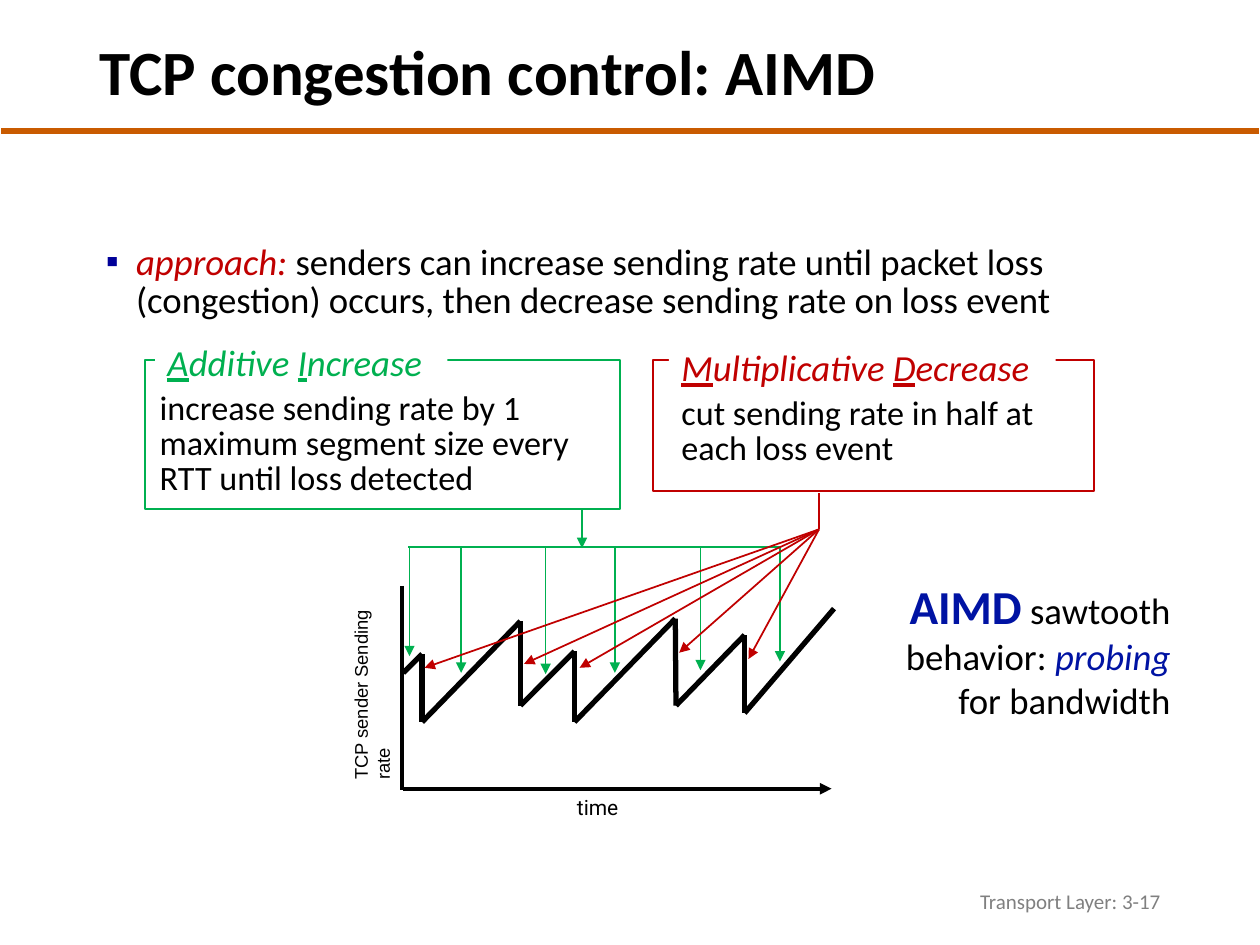
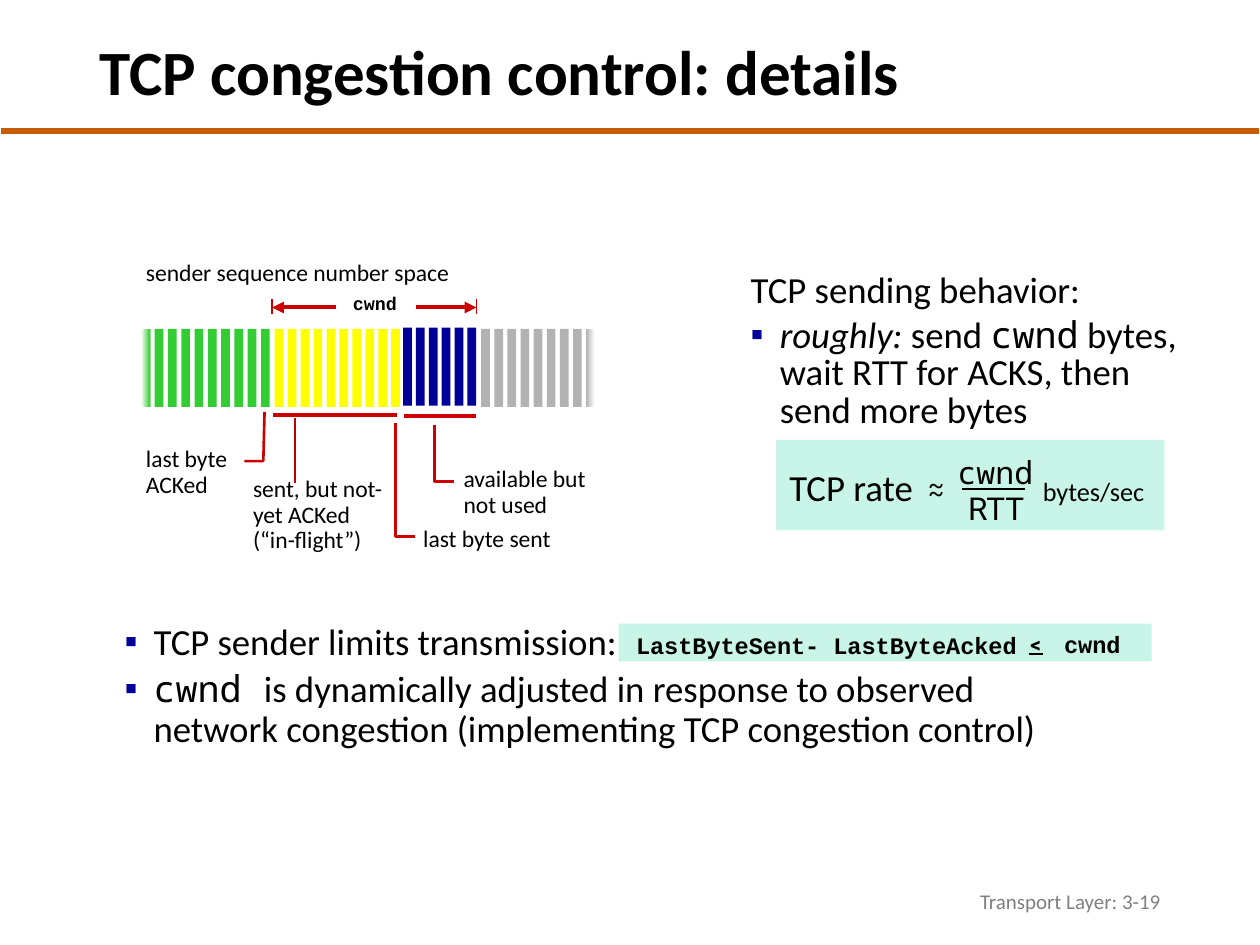
"""Build two lecture slides on TCP congestion control."""
from dataclasses import dataclass, field
from itertools import pairwise
from typing import Any, NamedTuple

from lxml import etree
from pptx import Presentation
from pptx.dml.color import RGBColor
from pptx.enum.shapes import MSO_CONNECTOR, MSO_SHAPE
from pptx.enum.text import MSO_ANCHOR, MSO_AUTO_SIZE, PP_ALIGN
from pptx.oxml.ns import qn
from pptx.util import Pt

STRAIGHT = MSO_CONNECTOR.STRAIGHT
RECTANGLE = MSO_SHAPE.RECTANGLE
TOP, MIDDLE = MSO_ANCHOR.TOP, MSO_ANCHOR.MIDDLE
LEFT, CENTER, RIGHT = PP_ALIGN.LEFT, PP_ALIGN.CENTER, PP_ALIGN.RIGHT
NO_FIT = MSO_AUTO_SIZE.NONE

COLORS = {
    "black": "000000", "white": "FFFFFF", "footer": "808080", "rule": "C95B00",
    "bullet": "000099", "increase": "00B050", "decrease": "C00000",
    "accent": "0013A3", "panel": "C8F5E8", "marker": "CC0000",
    "acked": "33CC33", "in_flight": "FFFF00", "usable": "000099", "unusable": "B2B2B2",
}
MONO = {"name": "Noto Sans Mono"}
CODE = {"name": "Courier New", "bold": True, "size": 13.5}
LABEL = {"size": 13.5}
TIGHT = {"left": 5, "top": 2.9, "right": 5, "bottom": 2.9}


class Run(NamedTuple):
    """A piece of text and how its font differs from the box."""
    text: str
    font: dict[str, Any] = {}


class Frame(NamedTuple):
    """A position and size in points."""
    x: float
    y: float
    w: float
    h: float


class Para(NamedTuple):
    """A paragraph with an optional hanging indent and bullet."""
    runs: list[Run]
    hang: float = 0
    bullet: bool = False


@dataclass
class TextStyle:
    """How the text of a box is set."""
    font: dict[str, Any] = field(default_factory=dict)
    align: Any = LEFT
    spacing: float = 1.0
    before: float = 0
    anchor: Any = TOP
    wrap: bool = True
    margins: dict[str, float] = field(default_factory=dict)


@dataclass
class Callout:
    """A framed explanation with a label set into its border."""
    color: str
    frame: Frame
    body: Frame
    text: str
    label: Frame
    words: str


class Segment(NamedTuple):
    """A row of equal bars in the sequence number space."""
    color: str
    x: float
    y: float
    pitch: float
    count: int


def rgb(name: str) -> RGBColor:
    """Look up a colour by name."""
    return RGBColor.from_string(COLORS[name])


def plain(*texts: str) -> list[Para]:
    """Make one simple paragraph per text."""
    return [Para([Run(text)]) for text in texts]


def set_font(font: Any, values: dict[str, Any]) -> None:
    """Apply a dict of format values to a font."""
    for key, value in values.items():
        if key == "color":
            font.color.rgb = rgb(value)
        else:
            setattr(font, key, Pt(value) if key == "size" else value)


def set_bullet(paragraph: Any, para: Para) -> None:
    """Set the hanging indent and the square bullet of a paragraph."""
    properties = paragraph._p.get_or_add_pPr()
    properties.set("marL", str(Pt(para.hang)))
    properties.set("indent", str(Pt(-para.hang)))
    if not para.bullet:
        etree.SubElement(properties, qn("a:buNone"))
        return
    color = etree.SubElement(properties, qn("a:buClr"))
    etree.SubElement(color, qn("a:srgbClr"), val=COLORS["bullet"])
    etree.SubElement(properties, qn("a:buFont"), typeface="Arial")
    etree.SubElement(properties, qn("a:buChar"), char="▪")


def write(shape: Any, paras: list[Para], style: TextStyle) -> None:
    """Fill a shape's text frame with styled paragraphs."""
    frame = shape.text_frame
    settings = {"auto_size": NO_FIT, "word_wrap": style.wrap, "vertical_anchor": style.anchor}
    settings |= {f"margin_{side}": Pt(gap) for side, gap in style.margins.items()}
    for key, value in settings.items():
        setattr(frame, key, value)
    base = {"name": "Calibri", "size": 21, "color": "black"} | style.font
    for index, para in enumerate(paras):
        paragraph = frame.add_paragraph() if index else frame.paragraphs[0]
        set_bullet(paragraph, para)
        spacing = {"alignment": style.align, "line_spacing": style.spacing,
                   "space_before": Pt(style.before if index else 0)}
        for key, value in spacing.items():
            setattr(paragraph, key, value)
        for piece in para.runs:
            run = paragraph.add_run()
            run.text = piece.text
            set_font(run.font, base | piece.font)


def add_text(slide: Any, frame: Frame, paras: list[Para], **style: Any) -> Any:
    """Add a text box."""
    box = slide.shapes.add_textbox(*map(Pt, frame))
    write(box, paras, TextStyle(**style))
    return box


def fill_placeholder(holder: Any, frame: Frame, paras: list[Para], **style: Any) -> None:
    """Move a placeholder and write its text."""
    for key, value in zip(("left", "top", "width", "height"), frame):
        setattr(holder, key, Pt(value))
    write(holder, paras, TextStyle(**style))


def add_box(slide: Any, frame: Frame, fill: str, line: str | None = None) -> Any:
    """Add a rectangle with a flat fill and an optional outline."""
    box = slide.shapes.add_shape(RECTANGLE, *map(Pt, frame))
    box.shadow.inherit = False
    box.fill.solid()
    box.fill.fore_color.rgb = rgb(fill)
    if line:
        box.line.color.rgb = rgb(line)
        box.line.width = Pt(1)
    else:
        box.line.fill.background()
    return box


def add_line(slide: Any, start: tuple, end: tuple, color: str, width: float,
             arrow: bool = False) -> None:
    """Draw a straight line, with an arrowhead at its end if asked."""
    line = slide.shapes.add_connector(STRAIGHT, *map(Pt, (*start, *end)))
    line.line.color.rgb = rgb(color)
    line.line.width = Pt(width)
    if arrow:
        etree.SubElement(line.line._get_or_add_ln(), qn("a:tailEnd"), type="triangle")
    etree.SubElement(line._element.spPr, qn("a:effectLst"))


def add_elbow(slide: Any, *points: tuple) -> None:
    """Draw an open bent leader line."""
    start, *rest = [(Pt(x), Pt(y)) for x, y in points]
    builder = slide.shapes.build_freeform(*start)
    builder.add_line_segments(rest, close=False)
    elbow = builder.convert_to_shape()
    elbow.shadow.inherit = False
    elbow.fill.background()
    elbow.line.color.rgb = rgb("marker")
    elbow.line.width = Pt(1.5)


def add_fade(bar: Any, start: str, end: str) -> None:
    """Give a bar a left-to-right gradient."""
    bar.fill.gradient()
    bar.fill.gradient_angle = 0
    for stop, color in zip(bar.fill.gradient_stops, (start, end)):
        stop.color.rgb = rgb(color)


def start_slide(deck: Any, layout: int, title: str, number: str) -> Any:
    """Add a slide with the shared title, rule and footer."""
    slide = deck.slides.add_slide(deck.slide_layouts[layout])
    add_line(slide, (0.7, 74.9), (719.3, 74.9), "rule", 3)
    fill_placeholder(slide.shapes.title, Frame(49.7, 10.8, 571, 64.8), plain(title),
                     font={"size": 36, "bold": True}, spacing=0.9, anchor=MIDDLE)
    add_text(slide, Frame(508.3, 500.4, 162, 28.8), plain(f"Transport Layer: {number}"),
             font={"size": 12, "color": "footer"}, align=RIGHT, anchor=MIDDLE)
    return slide


def add_callout(slide: Any, callout: Callout) -> None:
    """Draw a callout whose label underlines each initial."""
    add_box(slide, callout.frame, "white", callout.color)
    add_text(slide, callout.body, plain(callout.text), font={"size": 19.5}, spacing=0.85)
    first, second = callout.words.split()
    initial = {"underline": True}
    runs = [Run(first[0], initial), Run(first[1:] + " "), Run(second[0], initial), Run(second[1:])]
    label = add_text(slide, callout.label, [Para(runs)], spacing=0.85,
                     font={"color": callout.color, "italic": True})
    label.fill.solid()
    label.fill.fore_color.rgb = rgb("white")


def build_aimd(deck: Any) -> None:
    """Build the slide on additive increase, multiplicative decrease."""
    slide = start_slide(deck, 1, "TCP congestion control: AIMD", "3-17")
    approach = [
        Run("approach: ", {"color": "decrease", "italic": True}),
        Run("senders can increase sending rate until packet loss (congestion) occurs, "
            "then decrease sending rate on loss event")]
    fill_placeholder(slide.placeholders[1], Frame(53.3, 136.8, 607, 85.7),
                     [Para(approach, 17.3, True)], spacing=0.85)
    add_text(slide, Frame(509, 326.2, 167, 90.7), [
        Para([Run("AIMD", {"size": 27, "color": "accent", "bold": True}), Run(" sawtooth")]),
        Para([Run("behavior: "), Run("probing", {"color": "accent", "italic": True})]),
        *plain("for bandwidth")], align=RIGHT, wrap=False)

    sawtooth = [(230.4, 384.5), (241.2, 373.7), (241.2, 412.6), (297.4, 355), (297.4, 403.2),
                (328.3, 372.2), (328.3, 412.6), (385.9, 353.5), (386.3, 403.2),
                (425.5, 362.9), (425.5, 407.5), (476.6, 347.8)]
    for start, end in pairwise(sawtooth):
        add_line(slide, start, end, "black", 3)
    rate_label = add_text(slide, Frame(145.4, 369.4, 133.9, 32.4),
                          plain("TCP sender Sending rate"),
                          font={"name": "Arial", "size": 10.5}, margins={"right": 16})
    rate_label.rotation = 270
    add_line(slide, (230.4, 450.7), (475.2, 450.7), "black", 2.25, True)
    add_line(slide, (229.7, 334.8), (229.7, 451.4), "black", 2.25)
    add_text(slide, Frame(322.6, 450.7, 38.2, 21.6), plain("time"),
             font={"name": "Roboto", "size": 12}, wrap=False)

    for callout in (
        Callout("increase", Frame(82.8, 205.9, 271.4, 85), Frame(84.2, 221, 271.4, 85.7),
                "increase sending rate by 1 maximum segment size every RTT until loss detected",
                Frame(88.6, 194.4, 167, 25.9), "Additive Increase"),
        Callout("decrease", Frame(373, 205.9, 252, 74.9), Frame(382.3, 223.9, 253.4, 49),
                "cut sending rate in half at each loss event",
                Frame(382.3, 197.3, 221, 25.9), "Multiplicative Decrease"),
    ):
        add_callout(slide, callout)

    bar_y = 312.5
    for x, y in ((234, 375), (263.5, 384.5), (311.8, 385.2), (351.4, 384.5),
                 (400.3, 383), (445.7, 378)):
        add_line(slide, (x, bar_y), (x, y), "increase", 1, True)
    add_line(slide, (233.3, bar_y), (445.7, bar_y), "increase", 1)
    add_line(slide, (332.6, 290.9), (332.6, 313.2), "increase", 1, True)
    fan = (468, 302.5)
    for loss in ((427.7, 376.6), (242.6, 381.6), (299.5, 379.4), (331.2, 381.6), (388.1, 373)):
        add_line(slide, fan, loss, "decrease", 1, True)
    add_line(slide, fan, (468, 281.5), "decrease", 1)


def add_sequence_space(slide: Any) -> None:
    """Draw the sender sequence number space with its labels."""
    bars = [add_box(slide, Frame(row.x + i * row.pitch, row.y, 5, 44.6), row.color)
            for row in (Segment("acked", 80.8, 187.9, 7.6, 10),
                        Segment("in_flight", 157, 187.9, 7.4, 10),
                        Segment("usable", 230.4, 187.2, 7.35, 6),
                        Segment("unusable", 275, 187.9, 7.5, 9))
            for i in range(row.count)]
    add_fade(bars[0], "white", "acked")
    add_fade(bars[-1], "unusable", "white")
    add_text(slide, Frame(76.3, 144, 193.7, 23.8), plain("sender sequence number space"),
             font=LABEL, wrap=False)
    add_text(slide, Frame(194.4, 164.9, 39.6, 18.7), plain("cwnd"),
             font=CODE | {"size": 10.5}, align=CENTER, spacing=0.9, wrap=False)
    for inner, edge in ((192.2, 155.5), (237.6, 272.2)):
        add_line(slide, (inner, 175.7), (edge, 175.7), "marker", 2.25, True)
        add_line(slide, (edge, 170.6), (edge, 179.3), "marker", 0.75)
    for left, right, y in ((156.2, 226.8, 236.9), (231.1, 272.2, 237.6)):
        add_line(slide, (left, y), (right, y), "marker", 2.25)
    add_line(slide, (168.5, 239), (168.5, 275.8), "decrease", 1.5)
    add_elbow(slide, (151.2, 235.4), (150.5, 263.5), (139.7, 263.5))
    add_elbow(slide, (226, 242), (226, 306.7), (237, 306.7))
    add_elbow(slide, (248.4, 242.6), (248.4, 275), (259.2, 275))
    for frame, texts in (
        (Frame(76.3, 252, 62, 36.7), ("last byte", "ACKed")),
        (Frame(137.5, 269.3, 98, 51), ("sent, but not-yet ACKed", "(“in-flight”)")),
        (Frame(257.8, 263.5, 95, 36.7), ("available but not used",)),
        (Frame(234.7, 297.4, 95, 22.3), ("last byte sent",)),
    ):
        add_text(slide, frame, plain(*texts), font=LABEL, spacing=0.9, wrap=len(texts[0]) > 9)


def build_details(deck: Any) -> None:
    """Build the slide on the congestion window."""
    slide = start_slide(deck, 3, "TCP congestion control: details", "3-19")
    limits, behavior = slide.placeholders[1], slide.placeholders[2]
    fill_placeholder(limits, Frame(66.2, 353.5, 568.8, 100), [
        Para([Run("TCP sender limits transmission:")], 16.6, True),
        Para([Run("cwnd ", MONO), Run("is dynamically adjusted in response to observed network "
                                      "congestion (implementing TCP congestion control)")],
             16.6, True)], spacing=0.9, before=4.2, margins=TIGHT)
    fill_placeholder(behavior, Frame(424, 153.4, 271.4, 144.7), [
        Para([Run("TCP sending behavior:")], 16.6),
        Para([Run("roughly:", {"italic": True}), Run(" send "), Run("cwnd", MONO),
              Run(" bytes, wait RTT for ACKS, then send more bytes")], 16.6, True)],
        spacing=0.85, before=4.2, margins=TIGHT)
    add_sequence_space(slide)

    add_box(slide, Frame(353.5, 356.4, 304.6, 21.6), "panel")
    add_box(slide, Frame(443.5, 251.3, 221.8, 51.8), "panel")
    add_text(slide, Frame(356.4, 359.3, 260, 21.6), plain("LastByteSent- LastByteAcked"),
             font=CODE, spacing=0.85)
    roboto = {"name": "Roboto"}
    for text, frame, font in (
        ("<", Frame(579.6, 357.1, 24.5, 21.6), roboto | {"size": 12, "bold": True}),
        ("cwnd", Frame(600.5, 356.4, 47.5, 23.8), CODE),
        ("TCP rate", Frame(443.5, 262, 85.7, 32.4), {}),
        ("~", Frame(507.6, 265, 54.7, 23.8), roboto | LABEL),
        ("~", Frame(507.6, 269.3, 54.7, 23.8), roboto | LABEL),
        ("cwnd", Frame(540, 255.6, 57.6, 28.8), MONO | {"size": 18}),
        ("RTT", Frame(545.8, 275.8, 46.8, 28.8), roboto | {"size": 18}),
        ("bytes/sec", Frame(588.2, 267.8, 73.4, 25.2), {"size": 15}),
    ):
        add_text(slide, frame, plain(text), font=font, align=CENTER, wrap=False)
    add_line(slide, (588.2, 373.7), (596.2, 373.7), "black", 1.5)
    add_line(slide, (550, 279.4), (586, 279.4), "black", 1.5)


def main() -> None:
    """Build and save the deck."""
    deck = Presentation()
    deck.slide_width, deck.slide_height = Pt(720), Pt(540)
    build_aimd(deck)
    build_details(deck)
    deck.save("out.pptx")


if __name__ == "__main__":
    main()
